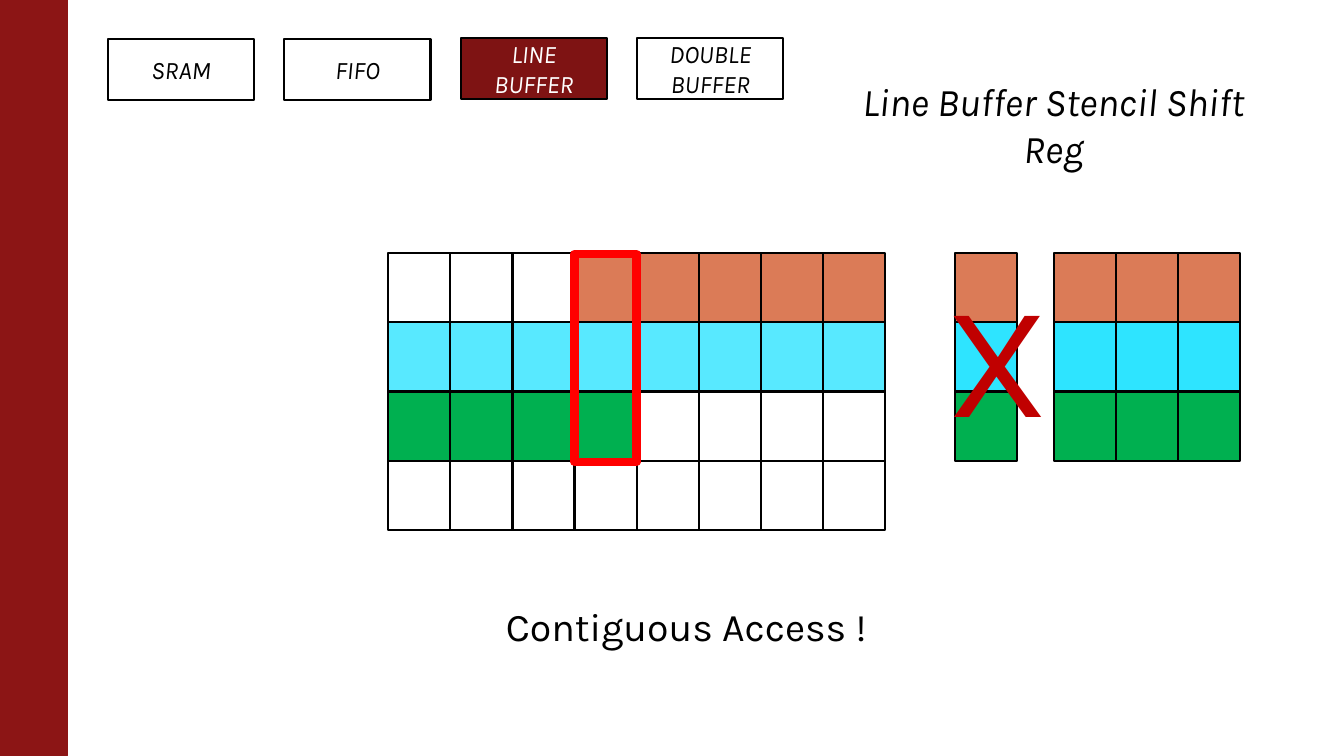
"""Build the line buffer slide about the stencil shift register."""
from dataclasses import dataclass

from pptx import Presentation
from pptx.dml.color import RGBColor
from pptx.enum.shapes import MSO_SHAPE
from pptx.enum.text import MSO_ANCHOR, MSO_AUTO_SIZE, PP_ALIGN
from pptx.util import Inches, Pt

RECT = MSO_SHAPE.RECTANGLE
MIDDLE, TOP = MSO_ANCHOR.MIDDLE, MSO_ANCHOR.TOP
CENTER, LEFT = PP_ALIGN.CENTER, PP_ALIGN.LEFT
NO_FIT = MSO_AUTO_SIZE.NONE

FONT = "Karla"
BLACK = RGBColor(0x00, 0x00, 0x00)
WHITE = RGBColor(0xFF, 0xFF, 0xFF)
CARDINAL = RGBColor(0x8C, 0x15, 0x15)
ACTIVE = RGBColor(0x7E, 0x13, 0x13)
ORANGE = RGBColor(0xDB, 0x7B, 0x57)
LIGHT_CYAN = RGBColor(0x58, 0xE9, 0xFF)
CYAN = RGBColor(0x2E, 0xE4, 0xFF)
GREEN = RGBColor(0x00, 0xB0, 0x50)
RED = RGBColor(0xFF, 0x00, 0x00)
DARK_RED = RGBColor(0xC0, 0x00, 0x00)

COLS, ROWS = 8, 4
GRID_X, GRID_Y = 3.85, 2.51
CELL_W, CELL_H = 4.93 / COLS, 2.75 / ROWS


@dataclass
class Band:
    """A run of filled cells in one grid row."""
    row: int
    first: int
    count: int
    color: RGBColor


@dataclass
class Tab:
    """A navigation box at the top of the slide."""
    lines: list[str]
    y: float
    fill: RGBColor | None = None
    color: RGBColor = BLACK


@dataclass
class Window:
    """A block of stencil columns, three cells high."""
    x: float
    cols: int


BANDS = [
    Band(2, 0, 4, GREEN),
    Band(1, 0, 8, LIGHT_CYAN),
    Band(0, 3, 5, ORANGE),
]
TABS = [
    Tab(["SRAM"], 0.39, WHITE),
    Tab(["FIFO"], 0.39),
    Tab(["LINE", "BUFFER"], 0.38, ACTIVE, WHITE),
    Tab(["DOUBLE", "BUFFER"], 0.38),
]
WINDOWS = [Window(9.47, 1), Window(10.45, 3)]
STENCIL = [ORANGE, CYAN, GREEN]


def add_rect(s, x: float, y: float, w: float, h: float,
             fill: RGBColor | None = None, line: RGBColor | None = None,
             width: float = 1.5):
    """Draw a rectangle with an optional fill and outline."""
    sp = s.shapes.add_shape(RECT, Inches(x), Inches(y), Inches(w), Inches(h))
    sp.shadow.inherit = False
    if fill is None:
        sp.fill.background()
    else:
        sp.fill.solid()
        sp.fill.fore_color.rgb = fill
    if line is None:
        sp.line.fill.background()
    else:
        sp.line.color.rgb = line
        sp.line.width = Pt(width)
    return sp


def add_cell(s, x: float, row: int, col: int,
             fill: RGBColor | None = None) -> None:
    """Draw one outlined cell of a block that starts at x."""
    add_rect(s, x + col * CELL_W, GRID_Y + row * CELL_H, CELL_W, CELL_H,
             fill, BLACK)


def write(sp, lines: list[str], size: float, color: RGBColor = BLACK,
          italic: bool = False, align=CENTER, anchor=MIDDLE) -> None:
    """Write one paragraph per line into a shape."""
    tf = sp.text_frame
    tf.word_wrap = True
    tf.auto_size = NO_FIT
    tf.vertical_anchor = anchor
    for i, text in enumerate(lines):
        p = tf.add_paragraph() if i else tf.paragraphs[0]
        p.alignment = align
        r = p.add_run()
        r.text = text
        r.font.name = FONT
        r.font.size = Pt(size)
        r.font.italic = italic
        r.font.color.rgb = color


def add_label(s, x: float, y: float, w: float, h: float, text: str,
              size: float, color: RGBColor = BLACK) -> None:
    """Add a left-aligned text box."""
    sp = s.shapes.add_textbox(Inches(x), Inches(y), Inches(w), Inches(h))
    write(sp, [text], size, color, align=LEFT, anchor=TOP)


def add_title(s, text: str) -> None:
    """Place and fill the title placeholder."""
    sp = s.shapes.title
    sp.left, sp.top = Inches(8.16), Inches(0.75)
    sp.width, sp.height = Inches(4.57), Inches(0.97)
    write(sp, [text], 28, italic=True)


def add_grid(s) -> None:
    """Draw the buffer grid, its coloured bands and the red column frame."""
    for band in BANDS:
        add_rect(s, GRID_X + band.first * CELL_W, GRID_Y + band.row * CELL_H,
                 band.count * CELL_W, CELL_H, band.color)
    for row in range(ROWS):
        for col in range(COLS):
            add_cell(s, GRID_X, row, col)
    add_rect(s, GRID_X + 3 * CELL_W, 2.52, CELL_W, 3 * CELL_H,
             line=RED, width=6)


def main() -> None:
    """Build and save the slide."""
    prs = Presentation()
    prs.slide_width, prs.slide_height = Inches(13.33), Inches(7.5)
    s = prs.slides.add_slide(prs.slide_layouts[5])
    add_rect(s, 0, 0, 0.67, 7.5, CARDINAL, CARDINAL, 0.75)
    add_title(s, "Line Buffer Stencil Shift Reg")
    add_grid(s)
    for i, tab in enumerate(TABS):
        sp = add_rect(s, 1.07 + i * 1.75, tab.y, 1.45, 0.6, tab.fill, BLACK)
        write(sp, tab.lines, 18, tab.color, italic=True)
    for window in WINDOWS:
        for row, color in enumerate(STENCIL):
            for col in range(window.cols):
                add_cell(s, window.x, row, col, color)
    add_label(s, 9.29, 2.5, 0.83, 2.04, "X", 115, DARK_RED)
    add_label(s, 4.92, 5.93, 4.26, 0.57, "Contiguous Access !", 28)
    prs.save("out.pptx")


if __name__ == "__main__":
    main()
